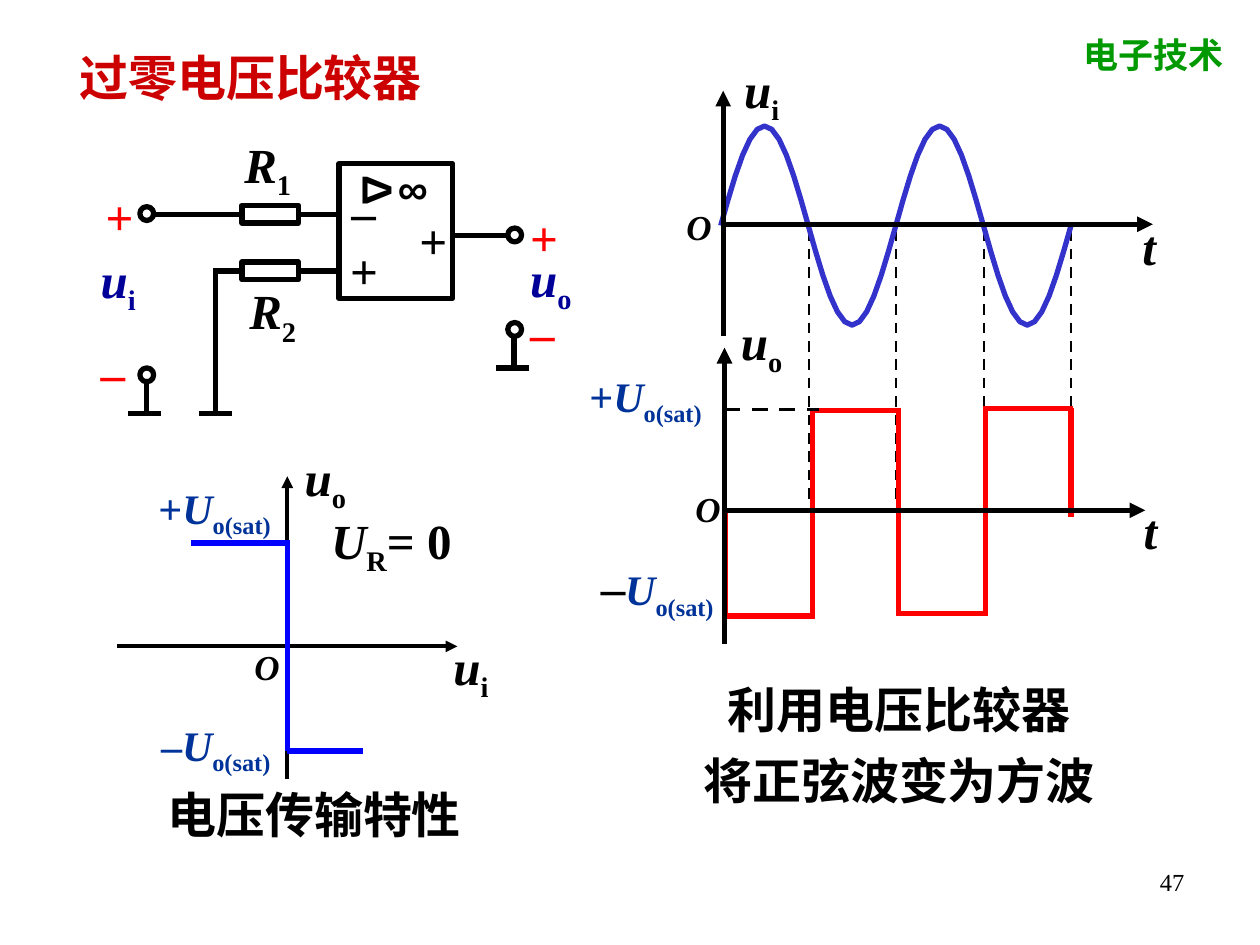
import math

import pptx
import pptx.dml.color
import pptx.enum.dml
import pptx.enum.shapes
import pptx.enum.text
import pptx.oxml.ns
import pptx.util
from lxml import etree

RGB = pptx.dml.color.RGBColor
BLACK = RGB(0, 0, 0)
RED = RGB(255, 0, 0)
TITLE = RGB(0xCC, 0, 0)
GREEN = RGB(0, 0x99, 0)
NAVY = RGB(0, 0, 0x99)
LEVEL = RGB(0, 0x33, 0x99)
BLUE = RGB(0, 0, 255)
WAVE = RGB(0x33, 0x33, 0xCC)

PX = 9144  # 100 px to the inch
PT = pptx.util.Pt
KIND = pptx.enum.shapes.MSO_SHAPE
ALIGN = pptx.enum.text.PP_ALIGN
ANCHOR = pptx.enum.text.MSO_ANCHOR
QN = pptx.oxml.ns.qn

deck = pptx.Presentation()
deck.slide_width, deck.slide_height = 1000 * PX, 750 * PX
slide = deck.slides.add_slide(deck.slide_layouts[5])
shapes = slide.shapes


def write(text, box, shape=None, size=28, color=BLACK, font="Times New Roman",
          bold=True, italic=False, lead="", lead_size=None, lead_color=None,
          sub="", rest="", align=ALIGN.LEFT, anchor=ANCHOR.TOP, space=1.0,
          wrap=True, turn=0):
    """Write lead + text + subscript + rest; only text takes the italic."""
    place = [n * PX for n in box]
    if shape is None:
        shape = shapes.add_textbox(*place)
    shape.left, shape.top, shape.width, shape.height = place
    shape.rotation = turn
    frame = shape.text_frame
    frame.word_wrap = wrap
    frame.auto_size = pptx.enum.text.MSO_AUTO_SIZE.NONE
    frame.vertical_anchor = anchor
    for row, words in enumerate(text.split("\n")):
        para = frame.add_paragraph() if row else frame.paragraphs[0]
        para.alignment, para.line_spacing = align, space
        parts = ((lead, lead_size or size, lead_color or color, False, 0),
                 (words, size, color, italic, 0),
                 (sub, size, color, False, -25000),
                 (rest, size, color, False, 0))
        for part, pts, tint, slant, base in parts:
            if not part:
                continue
            run = para.add_run()
            run.text = part
            run.font.name, run.font.size = font, PT(pts)
            run.font.bold, run.font.italic = bold, slant
            run.font.color.rgb = tint
            if base:
                run._r.get_or_add_rPr().set("baseline", str(base))


def draw(x1, y1, x2, y2, color=BLACK, width=3, dash=False, arrow=False):
    """Draw a straight line, with any arrowhead at its second end."""
    link = shapes.add_connector(pptx.enum.shapes.MSO_CONNECTOR.STRAIGHT,
                                x1 * PX, y1 * PX, x2 * PX, y2 * PX)
    link.line.color.rgb = color
    link.line.width = PT(width)
    if dash:
        link.line.dash_style = pptx.enum.dml.MSO_LINE.DASH
    if arrow:
        etree.SubElement(link.line._get_or_add_ln(), QN("a:tailEnd"), type="triangle")
    etree.SubElement(link._element.spPr, QN("a:effectLst"))


# Headings
write("过零电压比较器", (53, 33, 342, 58), shape=shapes.title, color=TITLE)
write("电子技术", (850, 22, 145, 44), size=20, color=GREEN)

# Comparator circuit
parts = [(KIND.RECTANGLE, 192, 208, 45, 14), (KIND.RECTANGLE, 192, 163, 45, 14),
         (KIND.RECTANGLE, 269, 130, 90, 107)]
parts += [(KIND.OVAL, x, y, 11, 11)
          for x, y in ((403, 181), (111, 164), (403, 256), (111, 292))]
for kind, *box in parts:
    part = shapes.add_shape(kind, *[n * PX for n in box])
    part.shadow.inherit = False
    part.fill.background()
    part.line.color.rgb = BLACK
    part.line.width = PT(3)

wires = [(192, 170, 120, 170), (193, 215, 172, 215), (235, 170, 269, 170),
         (235, 215, 269, 215), (359, 187, 403, 187), (171, 213, 171, 327),
         (116, 301, 116, 328), (408, 265, 408, 292)]
grounds = [(x, y, x + 26, y) for x, y in ((102, 328), (158, 328), (394, 292))]
for ends in wires + grounds:
    draw(*ends)

for sign, x, y, color in (("+", 268, 186, BLACK), ("+", 323, 162, BLACK),
                          ("–", 269, 139, BLACK), ("+", 411, 160, RED),
                          ("–", 411, 235, RED), ("+", 74, 143, RED),
                          ("–", 70, 267, RED)):
    write(sign, (x, y, 50, 57), color=color)
write("∞", (306, 124, 91, 50), size=24, font="Arial")
write("Δ", (281, 126, 40, 50), size=24, font="Arial", align=ALIGN.CENTER,
      wrap=False, turn=90)
for name, sub, x, y, color in (("R", "1", 184, 102, BLACK), ("R", "2", 188, 218, BLACK),
                               ("u", "i", 70, 193, NAVY), ("u", "o", 411, 192, NAVY),
                               ("u", "i", 350, 500, BLACK), ("u", "o", 232, 350, BLACK)):
    write(name, (x, y, 65, 63), italic=True, sub=sub, color=color)

# Transfer characteristic
draw(93, 513, 363, 513, width=2.25, arrow=True)
draw(228, 618, 228, 378, width=2.25, arrow=True)
for ends in ((152, 431, 230, 431), (228, 431, 228, 596), (228, 596, 288, 596)):
    draw(*ends, color=BLUE)
write("U", (253, 400, 115, 63), italic=True, sub="R", rest="= 0", wrap=False)
write("电压传输特性", (123, 618, 265, 57))

# Saturation levels on both graphs
for lead, x, y, size, color in (("–", 118, 566, 24, LEVEL), ("+", 116, 378, 24, LEVEL),
                                ("+", 458, 289, 24, LEVEL), ("–", 467, 437, 28, BLACK)):
    write("U", (x, y, 150, 56), size=24, color=LEVEL, italic=True, lead=lead,
          lead_size=size, lead_color=color, sub="o(sat)")

# Input sine and output square wave
edges = [576, 645, 713, 782, 850]
for x in (642, 711, 781, 850):
    draw(x, 183, x, 400, width=1.5, dash=True)
for left, right, level in zip(edges, edges[1:], (489, 326, 487, 324)):
    mid = 405 if level > 405 else 410
    draw(left, level, left, mid, color=RED)
    draw(left - 2, level, right + 2, level, color=RED)
    draw(right, level, right, mid, color=RED)

STEPS = 12
for half in range(4):
    sign = -1 if half % 2 == 0 else 1
    dots = [((572 + 69.5 * (half + n / STEPS)) * PX,
             (179 + sign * 79 * math.sin(math.pi * n / STEPS)) * PX)
            for n in range(STEPS + 1)]
    pen = shapes.build_freeform(*dots[0])
    pen.add_line_segments(dots[1:], close=False)
    curve = pen.convert_to_shape()
    curve.shadow.inherit = False
    curve.fill.background()
    curve.line.color.rgb = WAVE
    curve.line.width = PT(3)

for ends in ((573, 178, 915, 178), (574, 267, 574, 72),
             (574, 405, 909, 405), (575, 511, 575, 276)):
    draw(*ends, arrow=True)
draw(575, 325, 650, 325, width=2.25, dash=True)
for name, sub, x, y in (("t", "", 882, 167), ("t", "", 883, 392),
                        ("u", "i", 567, 42), ("u", "o", 567, 242)):
    width = 75 if sub else 60
    write(name, (x, y, width, 63), italic=True, sub=sub, align=ALIGN.CENTER)
for x, y in ((192, 507), (535, 158), (542, 382)):
    write("O", (x, y, 40, 44), size=20, italic=True)

write("利用电压比较器\n将正弦波变为方波", (519, 525, 389, 122),
      align=ALIGN.CENTER, anchor=ANCHOR.MIDDLE, space=1.2)
write("47", (717, 683, 233, 52), size=14, bold=False, align=ALIGN.RIGHT)

deck.save("out.pptx")
